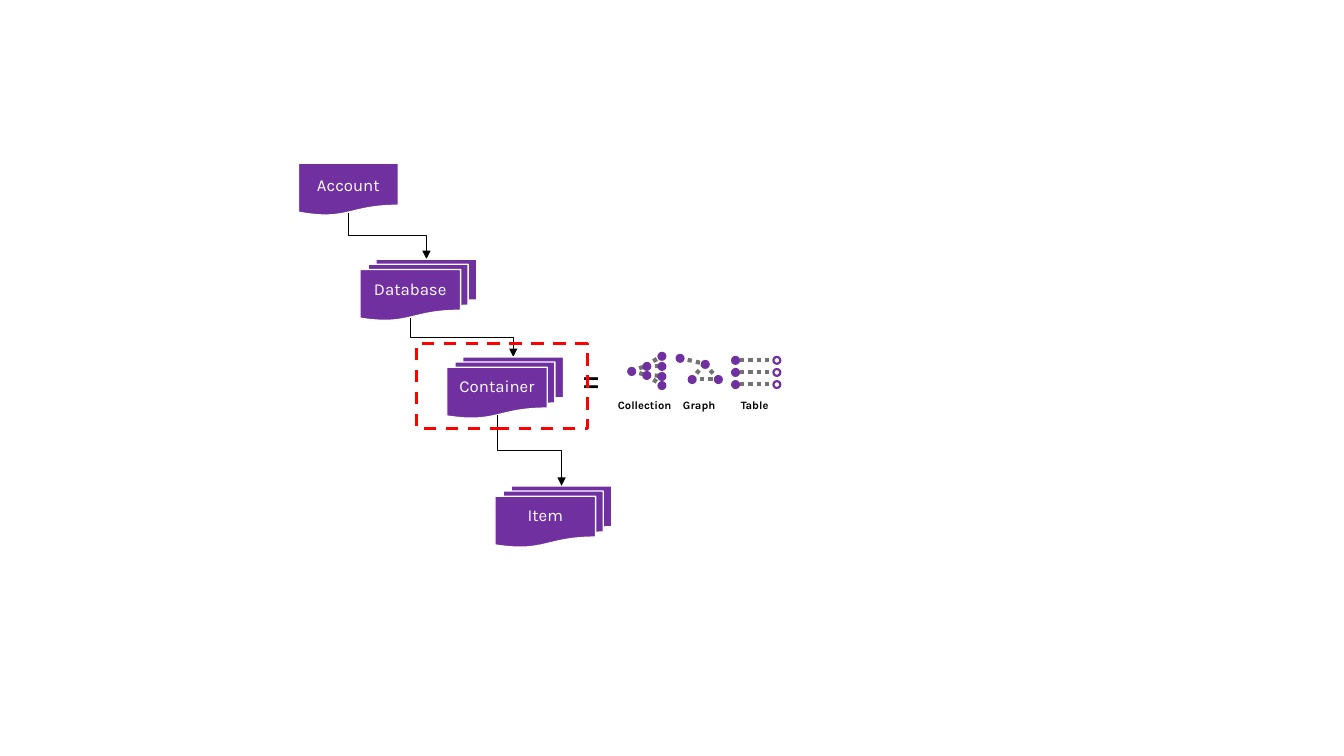
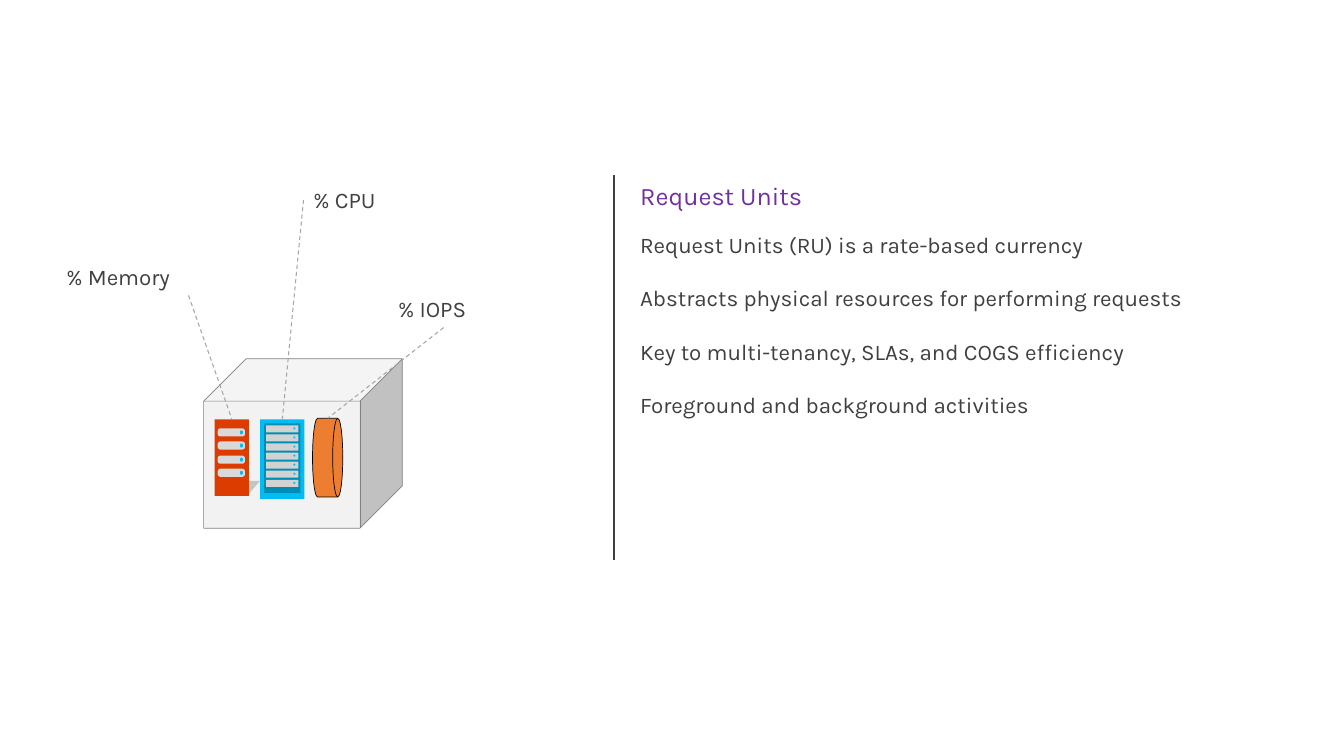
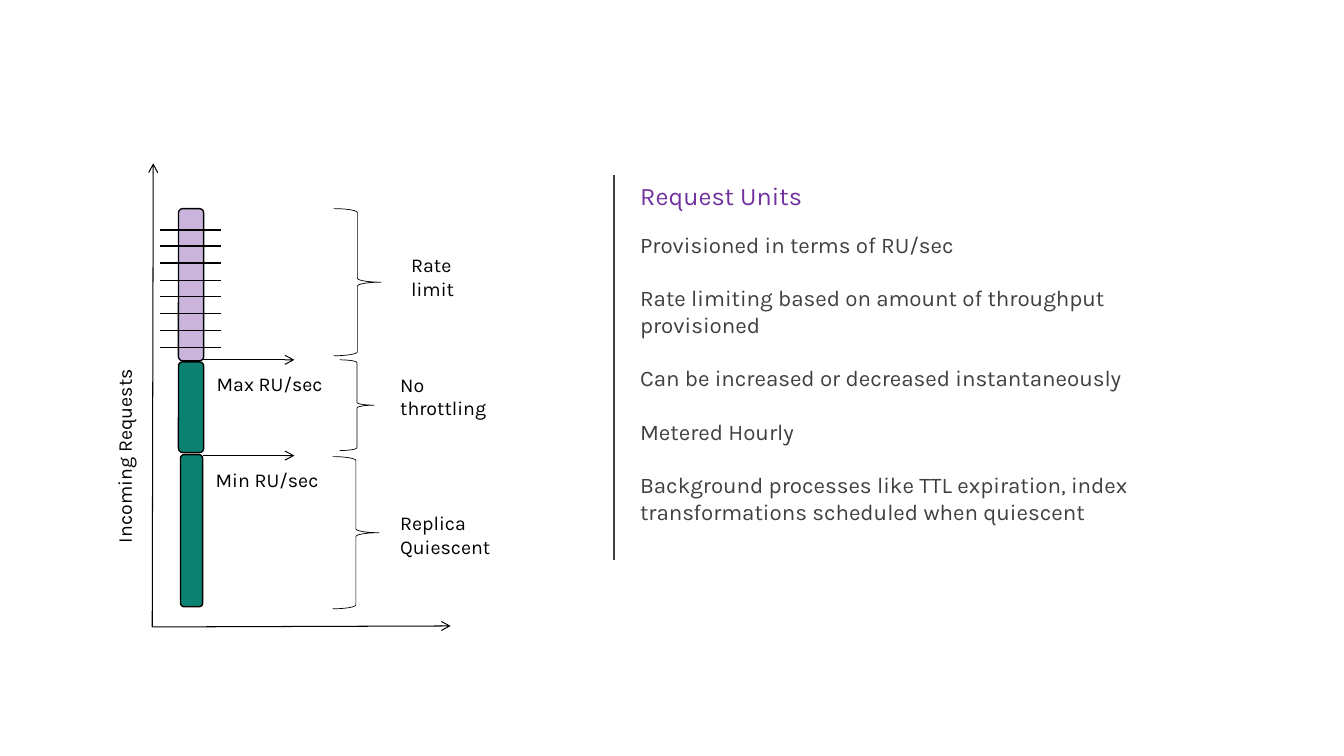
from pptx import Presentation
from pptx import util as u
from pptx.dml.color import RGBColor
from pptx.enum import dml, shapes, text
from pptx.oxml import parse_xml
from pptx.oxml.ns import nsdecls

PX = 9144  # 100 px to the inch
WIDTH, HEIGHT = 1333, 750
FONT = "Karla"

BLACK = RGBColor(0x00, 0x00, 0x00)
WHITE = RGBColor(0xFF, 0xFF, 0xFF)
PURPLE = RGBColor(0x70, 0x30, 0xA0)
LILAC = RGBColor(0xCB, 0xB4, 0xDC)
TEAL = RGBColor(0x0B, 0x81, 0x72)
INK = RGBColor(0x40, 0x40, 0x40)
LINK_GRAY = RGBColor(0x72, 0x72, 0x72)
LEADER_GRAY = RGBColor(0xA5, 0xA5, 0xA5)
CUBE_FILL = RGBColor(0xF2, 0xF2, 0xF2)
CUBE_EDGE = RGBColor(0x80, 0x80, 0x80)
BAY_GRAY = RGBColor(0xD9, 0xD9, 0xD9)
SLOT_GRAY = RGBColor(0xD2, 0xD2, 0xD2)
RED = RGBColor(0xFF, 0x00, 0x00)
BRICK = RGBColor(0xDC, 0x3C, 0x00)
ORANGE = RGBColor(0xED, 0x7D, 0x31)
CYAN = RGBColor(0x00, 0xBC, 0xF2)
DEEP_CYAN = RGBColor(0x00, 0x8D, 0xB5)

KIND = shapes.MSO_SHAPE
DASH = dml.MSO_LINE
ALIGN = text.PP_ALIGN
ANCHOR = text.MSO_ANCHOR
TOP, LEFT, BOTTOM = 0, 1, 2


def px(*lengths):
    return [u.Emu(round(n * PX)) for n in lengths]


def write(tf, lines, size, color, bold=False, align=ALIGN.LEFT, gap=0,
          insets=(10, 5, 10, 5), anchor=ANCHOR.TOP):
    """Fill a text frame with one paragraph per line; insets are left, top, right, bottom."""
    tf.word_wrap = True
    tf.auto_size = text.MSO_AUTO_SIZE.NONE
    tf.vertical_anchor = anchor
    (tf.margin_left, tf.margin_top,
     tf.margin_right, tf.margin_bottom) = px(*insets)
    for i, line in enumerate(lines):
        p = tf.paragraphs[0] if i == 0 else tf.add_paragraph()
        p.alignment = align
        if i and gap:
            p.space_before = u.Pt(gap)
        r = p.add_run()
        r.text = line
        r.font.name = FONT
        r.font.size = u.Pt(size)
        r.font.bold = bold
        r.font.color.rgb = color


def add_text(s, box, lines, size, color, **style):
    tb = s.shapes.add_textbox(*px(*box))
    write(tb.text_frame, lines, size, color, **style)
    return tb


def paint(sp, fill=None, line=None, weight=1):
    sp.shadow.inherit = False
    if fill is None:
        sp.fill.background()
    else:
        sp.fill.solid()
        sp.fill.fore_color.rgb = fill
    if line is None:
        sp.line.fill.background()
    else:
        sp.line.color.rgb = line
        sp.line.width = u.Pt(weight)


def add_shape(s, kind, box, fill=None, line=None, weight=1):
    sp = s.shapes.add_shape(kind, *px(*box))
    paint(sp, fill, line, weight)
    return sp


def add_line(s, start, end, color=BLACK, weight=0.75, dash=None, head=None,
             kind=shapes.MSO_CONNECTOR.STRAIGHT):
    c = s.shapes.add_connector(kind, *px(*start, *end))
    c.line.color.rgb = color
    c.line.width = u.Pt(weight)
    if dash is not None:
        c.line.dash_style = dash
    if head:
        c.line._get_or_add_ln().append(
            parse_xml(f'<a:tailEnd {nsdecls("a")} type="{head}"/>'))
    c._element.spPr.append(parse_xml(f'<a:effectLst {nsdecls("a")}/>'))
    return c


def add_step(s, start, end):
    """Elbow arrow that runs down, across and down again."""
    (x1, y1), (x2, y2) = start, end
    cx, cy = (x1 + x2) / 2, (y1 + y2) / 2
    half_w, half_h = (y2 - y1) / 2, (x2 - x1) / 2
    c = add_line(s, (cx + half_w, cy - half_h), (cx - half_w, cy + half_h),
                 weight=0.5, head="triangle",
                 kind=shapes.MSO_CONNECTOR.ELBOW)
    c.rotation = 270


def add_document(s, kind, box, label, bottom_inset=0):
    sp = add_shape(s, kind, box, PURPLE, WHITE)
    write(sp.text_frame, [label], 12, WHITE, align=ALIGN.CENTER,
          insets=(0, 0, 0, bottom_inset), anchor=ANCHOR.MIDDLE)


def add_link(s, start, end):
    add_line(s, start, end, LINK_GRAY, 3, DASH.ROUND_DOT)


def add_network(s, dots, links):
    """Dots given by left and top, with dotted links between their centres."""
    for a, b in links:
        add_link(s, *[[n + 4 for n in dots[i]] for i in (a, b)])
    for dot in dots:
        add_shape(s, KIND.OVAL, (*dot, 9, 9), PURPLE)


def add_caption(s, left, label):
    add_text(s, (left, 390, 73, 24), [label], 8, BLACK, bold=True,
             align=ALIGN.CENTER, insets=(0, 5, 0, 5))


def add_units_slide(prs, points):
    """Slide with the right-hand panel: divider, title and spaced points."""
    s = prs.slides.add_slide(prs.slide_layouts[5])
    add_line(s, (609, 174), (609, 556), INK, 1)
    title = s.shapes.title
    title.left, title.top, title.width, title.height = px(625, 174, 468, 40)
    write(title.text_frame, ["Request Units"], 18, PURPLE)
    add_text(s, (625, 224, 592, 333), points, 16, INK, gap=19)
    return s


def build_hierarchy(prs):
    s = prs.slides.add_slide(prs.slide_layouts[6])
    add_step(s, (346, 211), (423, 257))
    add_step(s, (407, 315), (509, 354))
    add_document(s, KIND.FLOWCHART_DOCUMENT, (296, 162, 99, 52), "Account")
    for label, left, top in (("Database", 357, 257), ("Container", 443, 354),
                             ("Item", 491, 482)):
        add_document(s, KIND.FLOWCHART_MULTIDOCUMENT, (left, top, 116, 61),
                     label, bottom_inset=11)
    add_step(s, (493, 412), (557, 482))
    add_text(s, (564, 349, 46, 50), ["="], 30, BLACK, align=ALIGN.CENTER,
             insets=(0, 0, 0, 0))

    tree = [(622, 364), (637, 359), (637, 368)]
    tree += [(652, top) for top in (349, 359, 369, 378)]
    add_network(s, tree, [(0, 1), (0, 2), (1, 3), (1, 4), (2, 5), (2, 6)])
    add_caption(s, 603, "Collection")

    graph = [(670, 351), (695, 357), (682, 372), (708, 372)]
    add_network(s, graph, [(0, 1), (1, 2), (1, 3), (2, 3)])
    add_caption(s, 657, "Graph")

    for top in range(353, 378, 12):
        add_link(s, (734, top + 4), (766, top + 4))
        add_shape(s, KIND.OVAL, (725, top, 9, 9), PURPLE)
        add_shape(s, KIND.DONUT, (766, top, 9, 9), PURPLE)
    add_caption(s, 712, "Table")

    focus = add_shape(s, KIND.RECTANGLE, (413, 341, 170, 84), None, RED, 2.25)
    focus.line.dash_style = DASH.DASH


def add_memory(s):
    fb = s.shapes.build_freeform(229, 477, scale=PX)
    fb.add_line_segments([(258, 477), (245, 492), (216, 492)])
    shade = fb.convert_to_shape()
    paint(shade, BLACK)
    shade.fill._xPr.solidFill[0].append(
        parse_xml(f'<a:alpha {nsdecls("a")} val="19000"/>'))
    rack = add_shape(s, KIND.RECTANGLE, (213, 416, 34, 76), BRICK)
    for i in range(4):
        top = 425 + 27 * i // 2
        bay = add_shape(s, KIND.ROUNDED_RECTANGLE, (216, top, 27, 8), BAY_GRAY)
        bay.adjustments[0] = 0.32
        add_shape(s, KIND.OVAL, (238, top + 2, 3, 4), CYAN)
    return rack


def add_cpu(s):
    rack = add_shape(s, KIND.RECTANGLE, (258, 416, 44, 79), CYAN)
    add_shape(s, KIND.RECTANGLE, (262, 420, 36, 69), DEEP_CYAN)
    for i in range(7):
        top = 422 + 9 * i
        add_shape(s, KIND.RECTANGLE, (264, top, 32, 7), SLOT_GRAY)
        add_shape(s, KIND.OVAL, (291, top + 2, 2, 2), CYAN)
    return rack


def build_resources(prs):
    s = add_units_slide(prs, [
        "Request Units (RU) is a rate-based currency",
        "Abstracts physical resources for performing requests",
        "Key to multi-tenancy, SLAs, and COGS efficiency",
        "Foreground and background activities",
    ])
    add_shape(s, KIND.CUBE, (202, 356, 197, 168), CUBE_FILL, CUBE_EDGE, 0.5)
    memory = add_memory(s)
    cpu = add_cpu(s)
    disk = add_shape(s, KIND.FLOWCHART_DIRECT_ACCESS_STORAGE,
                     (310, 415, 30, 78), ORANGE, BLACK, 0.5)
    for label, box, side, part in (
            ("% Memory", (56, 256, 262, 37), BOTTOM, memory),
            ("% CPU", (301, 180, 194, 37), LEFT, cpu),
            ("% IOPS", (385, 288, 110, 37), BOTTOM, disk)):
        tb = add_text(s, box, [label], 16, INK)
        leader = add_line(s, (0, 0), (1, 1), LEADER_GRAY, 0.75, DASH.DASH)
        leader.begin_connect(tb, side)
        leader.end_connect(part, TOP)


def build_throughput(prs):
    s = add_units_slide(prs, [
        "Provisioned in terms of RU/sec",
        "Rate limiting based on amount of throughput provisioned",
        "Can be increased or decreased instantaneously",
        "Metered Hourly",
        "Background processes like TTL expiration, index transformations "
        "scheduled when quiescent",
    ])
    for box, fill in (((177, 359, 25, 90), TEAL), ((179, 451, 22, 151), TEAL),
                      ((177, 207, 25, 151), LILAC)):
        add_shape(s, KIND.ROUNDED_RECTANGLE, box, fill, BLACK)
    for start, end in (((201, 357), (292, 357)), ((201, 452), (292, 452)),
                       ((151, 622), (152, 162)), ((151, 622), (447, 621))):
        add_line(s, start, end, head="arrow")
    for i in range(8):
        y = 228 + 117 * i // 7
        add_line(s, (159, y), (219, y), weight=1)
    for box in ((331, 207, 47, 146), (337, 357, 34, 90), (330, 453, 46, 151)):
        add_shape(s, KIND.RIGHT_BRACE, box, None, BLACK, 0.5)
    for lines, box in ((["Max RU/sec"], (205, 364, 172, 39)),
                       (["Min RU/sec"], (204, 459, 172, 39)),
                       (["Rate", "limit"], (398, 246, 97, 67)),
                       (["No", "throttling"], (387, 365, 142, 67)),
                       (["Replica", "Quiescent"], (387, 502, 150, 67))):
        add_text(s, box, lines, 14, BLACK)
    axis = add_text(s, (-3, 401, 257, 38), ["Incoming Requests"], 14, BLACK)
    axis.rotation = 270


def main():
    prs = Presentation()
    prs.slide_width, prs.slide_height = px(WIDTH, HEIGHT)
    build_hierarchy(prs)
    build_resources(prs)
    build_throughput(prs)
    prs.save("out.pptx")


if __name__ == "__main__":
    main()
